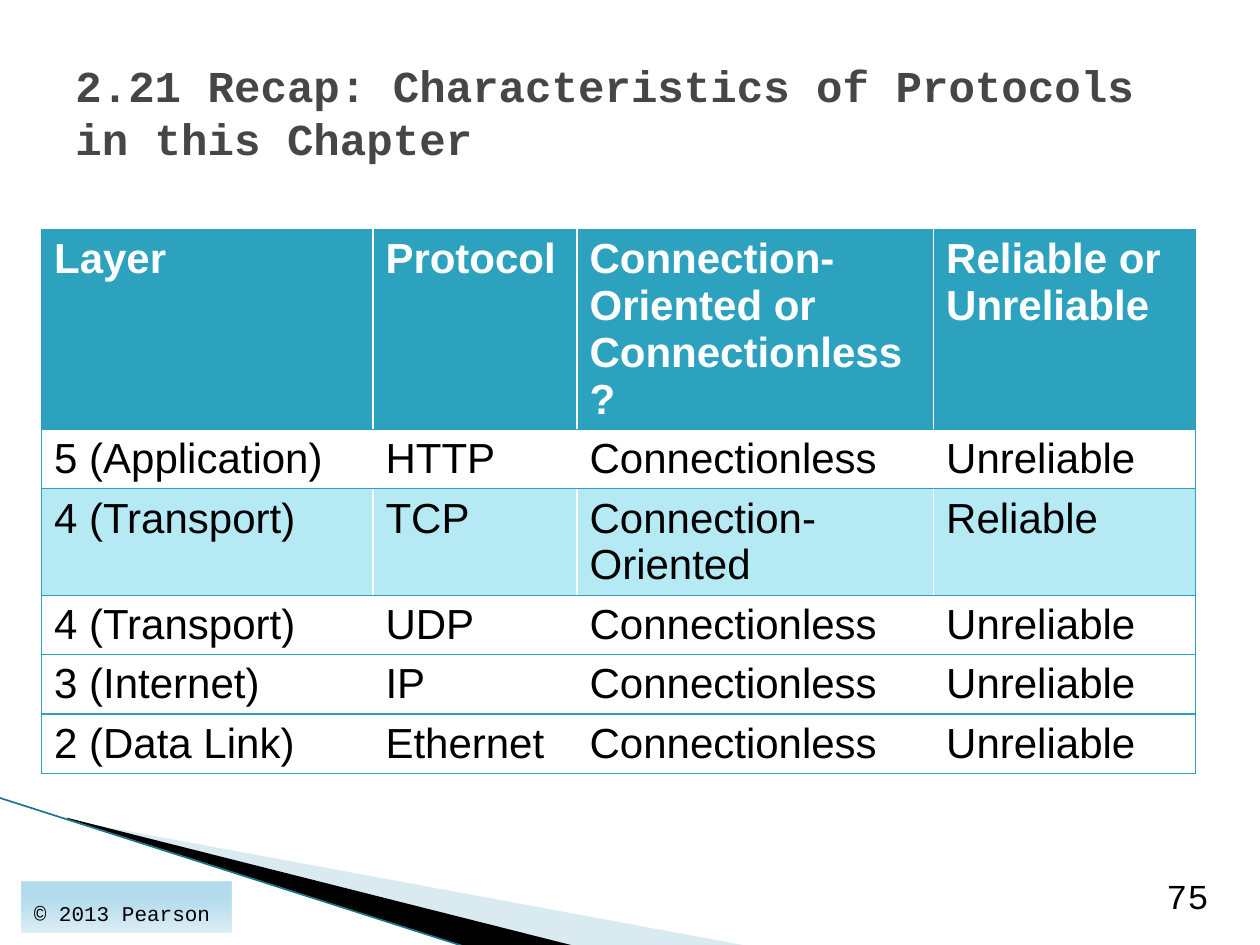
from lxml import etree
from pptx import Presentation
from pptx import util as u
from pptx.dml.color import RGBColor
from pptx.enum import shapes, text
from pptx.oxml import parse_xml
from pptx.oxml.ns import nsdecls, qn

TEAL, PALE, BLACK, WHITE = "2DA2BF", "B5E9F4", "000000", "FFFFFF"
SANS, MONO = "Arial", "Courier New"


def color(hex_code):
    return RGBColor.from_string(hex_code)


def write(frame, words, font=MONO, size=12, ink=BLACK, bold=False, align=None, anchor=None):
    frame.word_wrap = True
    if anchor is not None:
        frame.vertical_anchor = anchor
    paragraph = frame.paragraphs[0]
    paragraph.alignment = align
    run = paragraph.add_run()
    run.text = words
    run.font.name, run.font.size, run.font.bold = font, u.Pt(size), bold
    run.font.color.rgb = color(ink)


def inches(*lengths):
    return [u.Inches(length) for length in lengths]


class Deck:
    def __init__(self, slide, rule=TEAL, rule_width=0.75):
        self.slide, self.rule, self.rule_width = slide, rule, rule_width

    def label(self, box, words, **style):
        write(self.slide.shapes.add_textbox(*inches(*box)).text_frame, words, **style)

    def wedge(self, points, fill, opacity=100):
        corners = [inches(*point) for point in points]
        builder = self.slide.shapes.build_freeform(*corners[0])
        builder.add_line_segments(corners[1:], close=True)
        wedge = builder.convert_to_shape()
        wedge.shadow.inherit = False
        wedge.fill.solid()
        wedge.fill.fore_color.rgb = color(fill)
        wedge.line.fill.background()
        srgb = wedge._element.spPr.find(".//" + qn("a:srgbClr"))
        etree.SubElement(srgb, qn("a:alpha"), val=str(opacity * 1000))

    def line(self, start, end, ink, width):
        edge = self.slide.shapes.add_connector(
            shapes.MSO_CONNECTOR.STRAIGHT, *inches(*start, *end))
        edge.line.color.rgb, edge.line.width = color(ink), u.Pt(width)
        etree.SubElement(edge._element.spPr, qn("a:effectLst"))

    def gradient_box(self, box, stops, words, **style):
        panel = self.slide.shapes.add_shape(shapes.MSO_SHAPE.RECTANGLE, *inches(*box))
        panel.shadow.inherit = False
        panel.line.fill.background()
        stop_xml = "".join(
            f'<a:gs pos="{at * 1000}"><a:srgbClr val="{tint}">'
            f'<a:alpha val="{opacity * 1000}"/></a:srgbClr></a:gs>'
            for at, tint, opacity in stops)
        panel._element.spPr.find(qn("a:prstGeom")).addnext(parse_xml(
            f'<a:gradFill {nsdecls("a")} rotWithShape="1"><a:gsLst>{stop_xml}</a:gsLst>'
            '<a:lin ang="5400000" scaled="0"/></a:gradFill>'))
        write(panel.text_frame, words, **style)

    def borders(self, cell, sides):
        for place, side in enumerate(sides):
            cell._tc.get_or_add_tcPr().insert(place, parse_xml(
                f'<a:ln{side} {nsdecls("a")} w="{u.Pt(self.rule_width)}"><a:solidFill>'
                f'<a:srgbClr val="{self.rule}"/></a:solidFill></a:ln{side}>'))

    def table(self, box, widths, row_height, rows, shaded):
        frame = self.slide.shapes.add_table(len(rows), len(widths), *inches(*box))
        grid = frame.table
        for column, width in zip(grid.columns, widths):
            column.width = u.Inches(width)
        for r, row in enumerate(rows):
            grid.rows[r].height = u.Inches(row_height)
            fill = TEAL if r == 0 else PALE if r in shaded else None
            for c, words in enumerate(row):
                cell = grid.cell(r, c)
                if fill:
                    cell.fill.solid()
                    cell.fill.fore_color.rgb = color(fill)
                else:
                    cell.fill.background()
                outer = {0: "L", len(row) - 1: "R"}.get(c, "")
                self.borders(cell, outer + "TB")
                write(cell.text_frame, words, font=SANS, size=24,
                      ink=WHITE if r == 0 else BLACK, bold=r == 0)
        # Rows grow with their text, so the frame is taller than their minimum
        frame.height = u.Inches(box[3])


def main():
    presentation = Presentation()
    presentation.slide_width, presentation.slide_height = inches(10, 7.5)
    deck = Deck(presentation.slides.add_slide(presentation.slide_layouts[6]))

    # Corner decoration
    deck.wedge([(0.55, 6.51), (5.95, 7.51), (4.56, 7.51), (0.55, 6.5)], "A0CBDC", 40)
    deck.wedge([(0.53, 6.49), (4.57, 7.51), (3.72, 7.52), (0.54, 6.5)], BLACK)
    deck.line((-0.01, 6.33), (3.71, 7.52), "1F7489", 0.95)

    # Protocol table
    protocols = [
        ("Layer", "Protocol", "Connection-Oriented or Connectionless?",
         "Reliable or Unreliable"),
        ("5 (Application)", "HTTP", "Connectionless", "Unreliable"),
        ("4 (Transport)", "TCP", "Connection-Oriented", "Reliable"),
        ("4 (Transport)", "UDP", "Connectionless", "Unreliable"),
        ("3 (Internet)", "IP", "Connectionless", "Unreliable"),
        ("2 (Data Link)", "Ethernet", "Connectionless", "Unreliable"),
    ]
    deck.table((0.33, 1.82, 9.17, 4.2), (2.63, 1.62, 2.83, 2.08), 0.41, protocols, shaded={2})

    # Footer
    deck.gradient_box((0.17, 7, 1.67, 0.4),
                      [(0, "92CFE8", 70), (50, "BDE0EF", 100), (100, "DFEFF6", 100)],
                      "© 2013 Pearson", align=text.PP_ALIGN.LEFT,
                      anchor=text.MSO_ANCHOR.BOTTOM)
    deck.label((8.75, 6.92, 0.94, 0.4), "75", size=20, align=text.PP_ALIGN.RIGHT,
               anchor=text.MSO_ANCHOR.BOTTOM)

    # Title
    deck.label((0.5, 0.42, 9, 0.92), "2.21 Recap: Characteristics of Protocols in this Chapter",
               size=25.2, ink="464646", bold=True, anchor=text.MSO_ANCHOR.MIDDLE)

    presentation.save("out.pptx")


if __name__ == "__main__":
    main()
